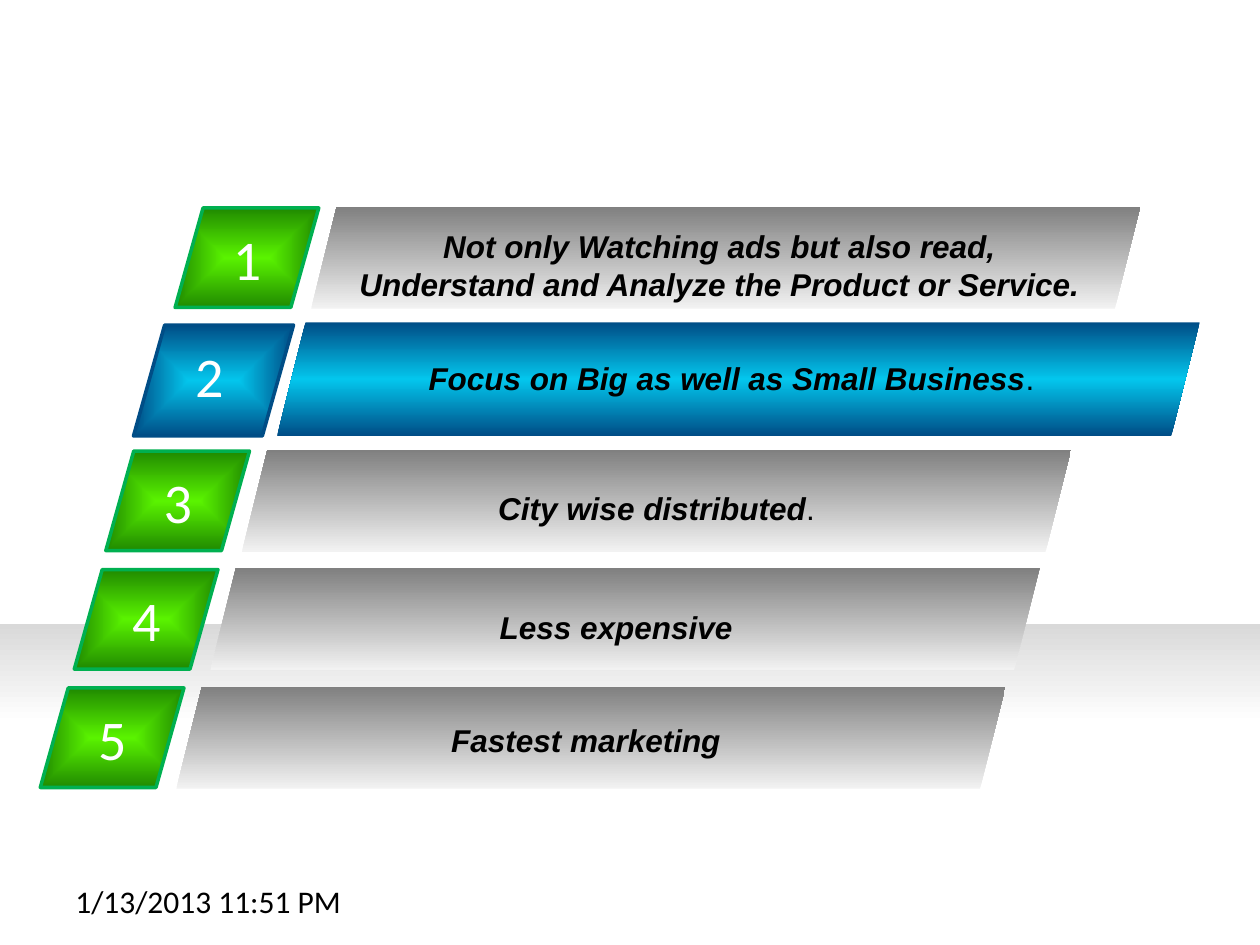
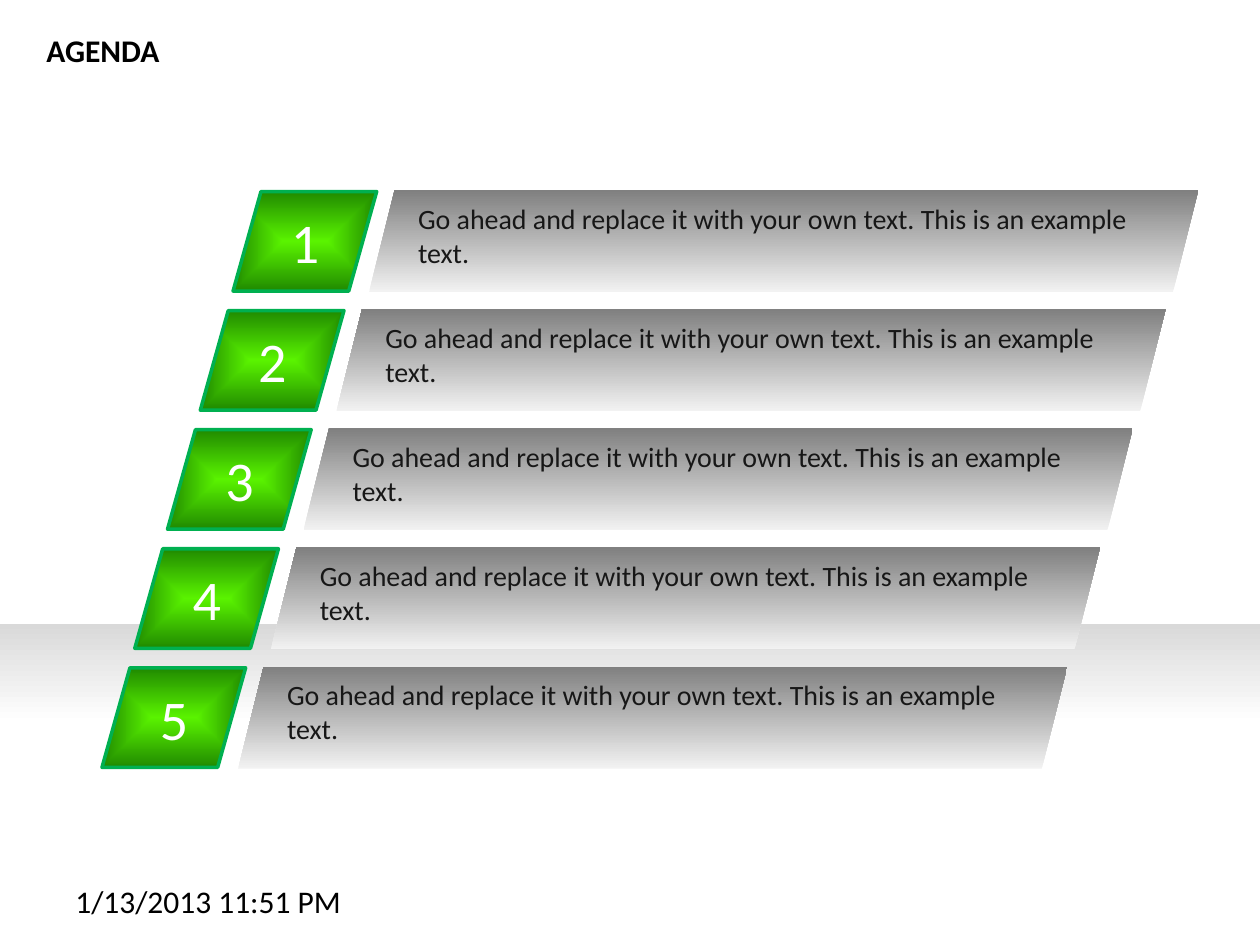
from pptx import Presentation
from pptx.dml.color import RGBColor
from pptx.enum.shapes import MSO_SHAPE
from pptx.enum.text import MSO_AUTO_SIZE, PP_ALIGN
from pptx.oxml import parse_xml
from pptx.oxml.ns import nsdecls
from pptx.util import Inches, Pt

COLORS = {
    "black": "000000", "white": "FFFFFF", "body": "171717",
    "floor": "D9D9D9", "silver": "F2F2F2", "gray": "808080",
    "lime": "5AF300", "green": "208A00", "green_edge": "00B050",
    "cyan": "03C6ED", "navy": "004D86",
}
UPWARD = '<a:lin ang="16200000" scaled="0"/>'
FROM_CENTER = ('<a:path path="shape"><a:fillToRect l="50000" t="50000" '
               'r="50000" b="50000"/></a:path>')

STYLES = {
    "plain": {
        "tile": [(0, "lime"), (100, "green")], "edge": "green_edge",
        "bar": [(0, "silver"), (100, "gray")],
        "bar_size": (6.58, 0.81), "tile_size": (1.14, 0.79),
        "tile_offset": (-1.08, 0.01), "number_offset": (0.36, 0.08),
    },
    "accent": {
        "tile": [(0, "cyan"), (100, "navy")], "edge": "navy",
        "bar": [(0, "navy"), (50, "cyan"), (100, "navy")],
        "bar_size": (7.32, 0.9), "tile_size": (1.27, 0.88),
        "tile_offset": (-1.14, 0.02), "number_offset": (0.39, 0.08),
    },
}

DATE = "1/13/2013 11:51 PM"
BENEFIT_FORMAT = {"size": 18, "font": "Arial", "bold": True, "italic": True,
                  "align": PP_ALIGN.CENTER}
BENEFITS = [
    {"text": "Not only Watching ads but also read, Understand and Analyze "
             "the Product or Service.",
     "bar": (2.47, 1.64), "label": (2.75, 1.75, 5.92, 0.71)},
    {"text": "Focus on Big as well as Small Business", "tail": ".", "style": "accent",
     "bar": (2.2, 2.56), "label": (2.52, 2.8, 6.57, 0.4)},
    {"text": "City wise distributed", "tail": ".",
     "bar": (1.92, 3.57), "label": (2.25, 3.83, 5.92, 0.4)},
    {"text": "Less expensive",
     "bar": (1.67, 4.51), "label": (1.93, 4.78, 5.92, 0.4)},
    {"text": "Fastest marketing",
     "bar": (1.4, 5.45), "label": (1.69, 5.67, 5.92, 0.4)},
]

AGENDA_TITLE = "AGENDA"
AGENDA_FORMAT = {"size": 16, "color": "body"}
AGENDA = ["Go ahead and replace it with your own text. This is an example text."] * 5
AGENDA_START = (2.93, 1.51)
AGENDA_STEP = (-0.26, 0.945)


def add_text(s, text, x, y, w, h, size=18, font="Calibri", color="black",
             bold=False, italic=False, align=PP_ALIGN.LEFT, tail=""):
    tf = s.shapes.add_textbox(Inches(x), Inches(y), Inches(w), Inches(h)).text_frame
    tf.word_wrap = True
    tf.auto_size = MSO_AUTO_SIZE.SHAPE_TO_FIT_TEXT
    p = tf.paragraphs[0]
    p.alignment = align
    for part, styled in ((text, True), (tail, False)):
        if part:
            r = p.add_run()
            r.text = part
            r.font.size = Pt(size)
            r.font.name = font
            r.font.bold = bold and styled
            r.font.italic = italic and styled
            r.font.color.rgb = RGBColor.from_string(COLORS[color])


def add_gradient_shape(s, kind, x, y, w, h, stops, direction=UPWARD, edge=None):
    sp = s.shapes.add_shape(kind, Inches(x), Inches(y), Inches(w), Inches(h))
    sp.shadow.inherit = False
    sp.fill.background()
    gs = "".join(f'<a:gs pos="{pos * 1000}"><a:srgbClr val="{COLORS[name]}"/></a:gs>'
                 for pos, name in stops)
    gradient = parse_xml(f'<a:gradFill {nsdecls("a")} rotWithShape="1">'
                         f'<a:gsLst>{gs}</a:gsLst>{direction}</a:gradFill>')
    spPr = sp.element.spPr
    spPr.replace(spPr.find("{*}noFill"), gradient)
    if edge:
        sp.line.color.rgb = RGBColor.from_string(COLORS[edge])
        sp.line.width = Pt(2)
    else:
        sp.line.fill.background()
    return sp


def add_row(s, number, bar, label, text, style="plain", **text_format):
    st = STYLES[style]
    x, y = (a + b for a, b in zip(bar, st["tile_offset"]))
    tile = add_gradient_shape(s, MSO_SHAPE.PARALLELOGRAM, x, y, *st["tile_size"],
                              st["tile"], FROM_CENTER, st["edge"])
    tile.adjustments[0] = 0.281
    dx, dy = st["number_offset"]
    add_text(s, str(number), x + dx, y + dy, 0.43, 0.64, size=32, color="white")
    add_gradient_shape(s, MSO_SHAPE.PARALLELOGRAM, *bar, *st["bar_size"], st["bar"])
    add_text(s, text, *label, **text_format)


def add_slide(prs):
    s = prs.slides.add_slide(prs.slide_layouts[6])
    add_gradient_shape(s, MSO_SHAPE.RECTANGLE, 0, 4.95, 10, 2.02,
                       [(0, "white"), (61, "white"), (100, "floor")])
    add_text(s, DATE, 0.5, 6.95, 2.33, 0.4)
    return s


def build_benefits(prs):
    s = add_slide(prs)
    for number, row in enumerate(BENEFITS, 1):
        add_row(s, number, **row, **BENEFIT_FORMAT)


def build_agenda(prs):
    s = add_slide(prs)
    add_text(s, AGENDA_TITLE, 0.27, 0.2, 1.24, 0.4, bold=True)
    for i, text in enumerate(AGENDA):
        x, y = (start + i * step for start, step in zip(AGENDA_START, AGENDA_STEP))
        add_row(s, i + 1, (x, y), (x + 0.29, y + 0.04, 5.91, 0.64), text,
                **AGENDA_FORMAT)


def main():
    prs = Presentation()
    prs.slide_width, prs.slide_height = Inches(10), Inches(7.5)
    build_benefits(prs)
    build_agenda(prs)
    prs.save("out.pptx")


if __name__ == "__main__":
    main()
